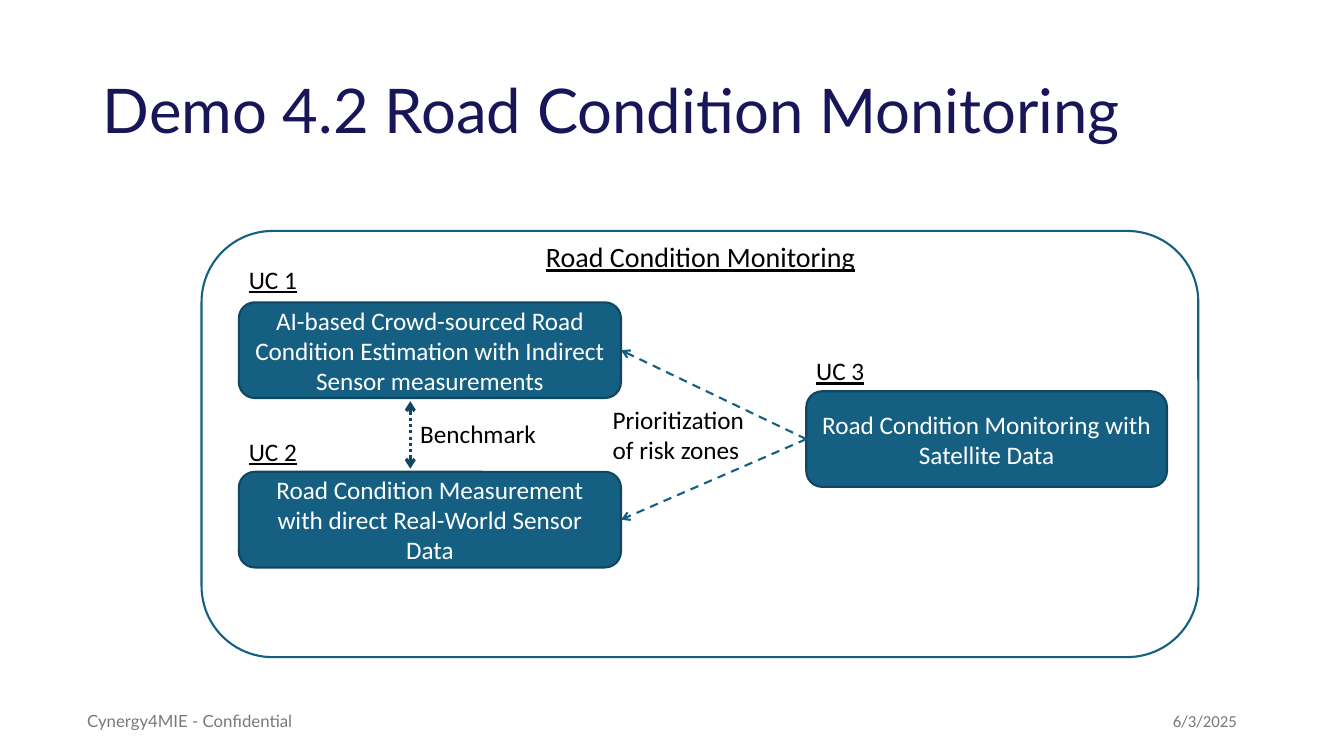
from lxml import etree
from pptx import Presentation
from pptx import util as u
from pptx.dml.color import RGBColor
from pptx.enum import dml, shapes, text
from pptx.oxml.ns import qn

TEAL, DARK_TEAL, NAVY = "156082", "104760", "181659"
BLACK, WHITE, GREY = "000000", "FFFFFF", "797979"
LEFT, CENTER, RIGHT = text.PP_ALIGN.LEFT, text.PP_ALIGN.CENTER, text.PP_ALIGN.RIGHT

SLIDE_SIZE = (33.87, 19.05)
FRAME = (5.08, 5.82, 25.12, 10.74)
BOX_HEIGHT = 2.41
LABEL_SIZE = (1.88, 1.02)

USE_CASES = [
    ("UC 1", "AI-based Crowd-sourced Road Condition Estimation with Indirect Sensor measurements",
     6.02, 7.62, 9.63, 6.53),
    ("UC 2", "Road Condition Measurement with direct Real-World Sensor Data",
     6.02, 11.89, 9.63, 10.87),
    ("UC 3", "Road Condition Monitoring with Satellite Data",
     20.32, 9.86, 9.09, 8.84),
]
BENCHMARK_ARROW = (10.34, 10.11, 10.34, 11.81)
NOTES = [
    ("Benchmark", (10.34, 10.41, 3.78, 1.02)),
    ("Prioritization of risk zones", (15.19, 10.06, 4.24, 1.8)),
]
HEADING = ("Road Condition Monitoring", (13.51, 5.92, 8.92, 1.12))
TITLE = ("Demo 4.2 Road Condition Monitoring", (2.34, 1.02, 29.21, 3.68))
FOOTERS = [
    ("Cynergy4MIE - Confidential", (0, 17.65, 7.62, 1.02), "Lato", RIGHT),
    ("6/3/2025", (29.31, 17.65, 4.5, 1.02), "Calibri", LEFT),
]


def color(hex_value):
    return RGBColor.from_string(hex_value)


def cm(*lengths):
    return [u.Cm(length) for length in lengths]


def write(holder, words, size, ink, font="Calibri", align=LEFT, middle=False,
          underline=False, wrap=True, spacing=None):
    frame = holder.text_frame
    frame.text = words
    frame.word_wrap = wrap
    frame.vertical_anchor = text.MSO_ANCHOR.MIDDLE if middle else text.MSO_ANCHOR.TOP
    paragraph = frame.paragraphs[0]
    paragraph.alignment = align
    paragraph.line_spacing = spacing
    run_font = paragraph.runs[0].font
    run_font.name, run_font.size = font, u.Pt(size)
    run_font.color.rgb = color(ink)
    if underline:
        run_font.underline = True


def add_text(slide, words, place, size, ink, **style):
    write(slide.shapes.add_textbox(*cm(*place)), words, size, ink, **style)


def add_box(slide, place, fill, edge):
    box = slide.shapes.add_shape(shapes.MSO_SHAPE.ROUNDED_RECTANGLE, *cm(*place))
    box.shadow.inherit = False
    box.fill.solid()
    box.fill.fore_color.rgb = color(fill)
    box.line.color.rgb = color(edge)
    box.line.width = u.Pt(1.5)
    return box


def add_arrow(slide, ends, ink, width, dash, tips):
    arrow = slide.shapes.add_connector(shapes.MSO_CONNECTOR.STRAIGHT, *cm(*ends))
    arrow.line.color.rgb = color(ink)
    arrow.line.width = u.Pt(width)
    arrow.line.dash_style = dash
    outline = arrow.line._get_or_add_ln()
    for tip in tips:
        etree.SubElement(outline, qn(f"a:{tip}"), type="arrow")
    etree.SubElement(arrow._element.spPr, qn("a:effectLst"))
    return arrow


def main():
    deck = Presentation()
    deck.slide_width, deck.slide_height = cm(*SLIDE_SIZE)
    slide = deck.slides.add_slide(deck.slide_layouts[6])

    for words, place, font, align in FOOTERS:
        add_text(slide, words, place, 12, GREY, font=font, align=align, middle=True)
    add_text(slide, *TITLE, 44, NAVY, font="Lato", middle=True, spacing=0.9)

    add_box(slide, FRAME, WHITE, TEAL)
    boxes = []
    for label, words, left, top, width, label_top in USE_CASES:
        box = add_box(slide, (left, top, width, BOX_HEIGHT), TEAL, DARK_TEAL)
        write(box, words, 18, WHITE, align=CENTER, middle=True)
        boxes.append(box)
        add_text(slide, label, (left, label_top, *LABEL_SIZE), 18, BLACK,
                 underline=True, wrap=False)

    add_arrow(slide, BENCHMARK_ARROW, DARK_TEAL, 2.25,
              dml.MSO_LINE.ROUND_DOT, ("headEnd", "tailEnd"))
    for words, place in NOTES:
        add_text(slide, words, place, 18, BLACK)

    *road_sources, satellite = boxes
    for source in road_sources:
        risk_arrow = add_arrow(slide, (0, 0, 1, 1), TEAL, 1.5,
                               dml.MSO_LINE.DASH, ("tailEnd",))
        risk_arrow.begin_connect(satellite, 1)
        risk_arrow.end_connect(source, 3)

    add_text(slide, *HEADING, 20, BLACK, underline=True, wrap=False)
    deck.save("out.pptx")


if __name__ == "__main__":
    main()
